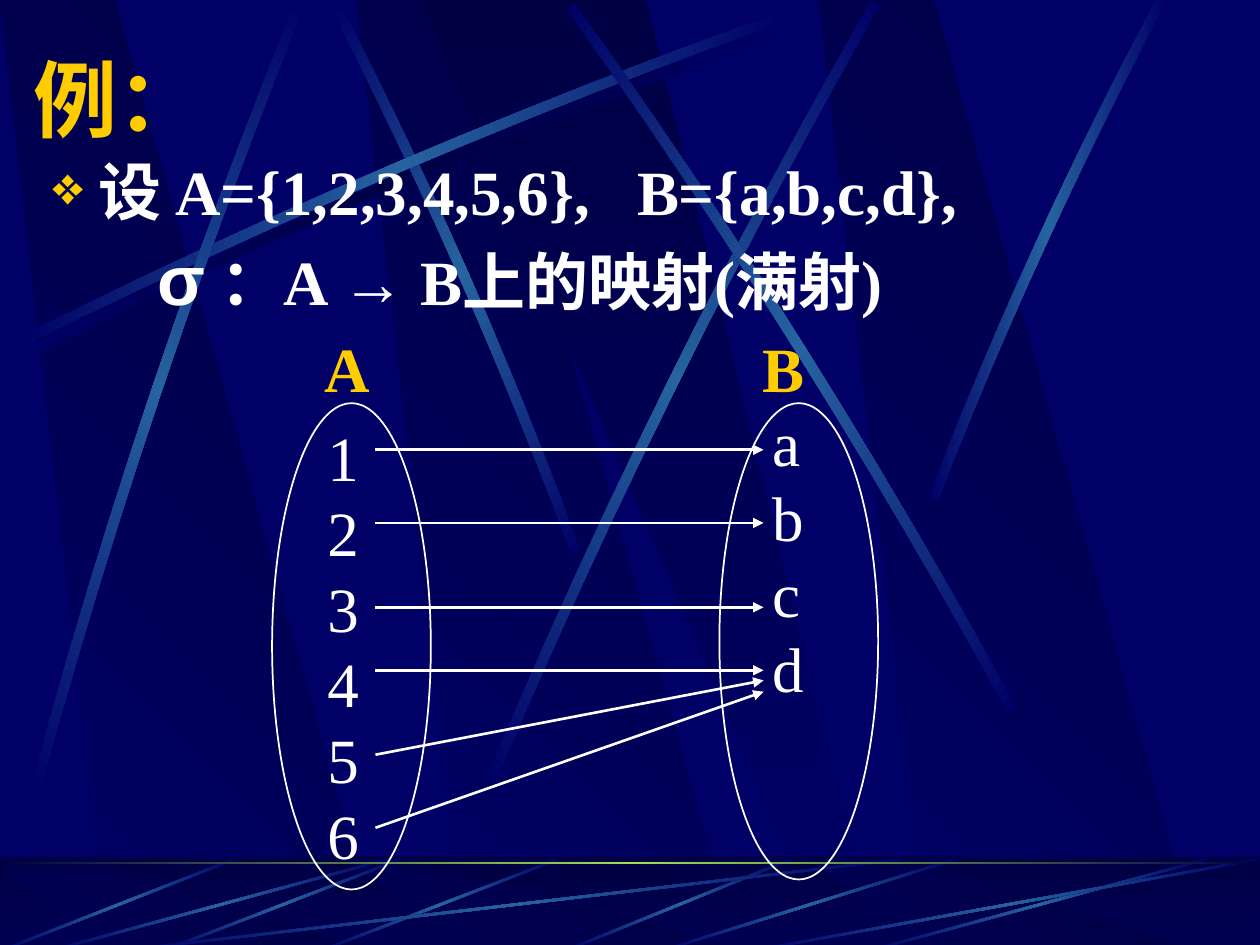
import math

import lxml.etree
import pptx
import pptx.dml.color
import pptx.enum.shapes
import pptx.enum.text
import pptx.oxml.ns
import pptx.util

Inches = pptx.util.Inches
Pt = pptx.util.Pt
color = pptx.dml.color.RGBColor.from_string
qn = pptx.oxml.ns.qn
SHAPES = pptx.enum.shapes.MSO_SHAPE
NAVY, DARK, BLUE, GREEN = "000066", "000044", "2663A0", "9CE157"
WHITE, GOLD = "FFFFFF", "FFCC00"
SERIF = "Times New Roman"

presentation = pptx.Presentation()
presentation.slide_width = Inches(10)
presentation.slide_height = Inches(7.5)
slide = presentation.slides.add_slide(presentation.slide_layouts[6])
slide.background.fill.solid()
slide.background.fill.fore_color.rgb = color(NAVY)
shapes = slide.shapes


def paint_gradient(shape, stops, angle):
    """Fill with evenly spaced stops, the angle running clockwise; no outline."""
    shape.shadow.inherit = False
    shape.line.fill.background()
    shape.fill.background()
    gradient = lxml.etree.Element(qn("a:gradFill"), rotWithShape="1")
    stop_list = lxml.etree.SubElement(gradient, qn("a:gsLst"))
    for index, stop in enumerate(stops):
        position = 100000 * index // (len(stops) - 1)
        entry = lxml.etree.SubElement(stop_list, qn("a:gs"), pos=str(position))
        lxml.etree.SubElement(entry, qn("a:srgbClr"), val=stop)
    lxml.etree.SubElement(gradient, qn("a:lin"), ang=str(angle * 60000), scaled="0")
    properties = shape._element.spPr
    properties.replace(properties.find(qn("a:noFill")), gradient)


def add_polygon(points, stops, angle):
    corners = [(Inches(x), Inches(y)) for x, y in points]
    builder = shapes.build_freeform(*corners[0], scale=1.0)
    builder.add_line_segments(corners[1:], close=True)
    paint_gradient(builder.convert_to_shape(), stops, angle)


# Slanted panels on the wall, then on the floor
floor_box = (0, Inches(6.8), Inches(10), Inches(0.75))
for top, bottom in [(0, 7.52), (6.88, 7.55)]:
    if top:
        paint_gradient(shapes.add_shape(SHAPES.RECTANGLE, *floor_box), [DARK, NAVY], 90)
    for left in (2.83, 0, 6.5):
        add_polygon([(left + 0.86, bottom), (left + 3.02, bottom), (left + 0.91, top), (left, top)],
                    [NAVY, DARK], 315)
    add_polygon([(3.33, top), (6.58, bottom), (6.94, bottom), (5.13, top)], [DARK, NAVY], 90)

veil = shapes.add_shape(SHAPES.RECTANGLE, *floor_box)
veil.shadow.inherit = False
veil.line.fill.background()
veil.fill.solid()
veil.fill.fore_color.rgb = color(DARK)
veil_color = veil._element.spPr.find(qn("a:solidFill")).find(qn("a:srgbClr"))
lxml.etree.SubElement(veil_color, qn("a:alpha"), val="50000")

# Light streaks: lower end, upper end, gradient angle
wall_streaks = [
    ((0.21, 2.8), (6.28, 0.21), 0),
    ((4.57, 4.38), (2.67, 0.06), 45),
    ((0.15, 2.72), (6.22, 0.13), 0),
    ((0.28, 6.27), (2.38, 0.03), 312),
    ((3.9, 6.18), (6.95, 0.02), 322),
    ((8.03, 5.63), (4.53, 0.05), 35),
    ((7.41, 3.95), (9.22, 0), 0),
]
# Floor streaks: left end and right end, all rising from the bottom edge
floor_streaks = [(4.5, 6.28), (2.56, 4.43), (1.31, 3.18), (0.02, 1.86), (1.01, 7.16),
                 (0.42, 3.08), (5.27, 7.58), (6.92, 9.58), (6, 9.99)]
streaks = [(*streak, 0.04, 0.03) for streak in wall_streaks]
streaks += [((left, 7.54), (right, 6.82), 0, 0.01, 0) for left, right in floor_streaks]
STEPS = 12
for index, (start, end, angle, half_width, bow) in enumerate(streaks):
    run_x, run_y = end[0] - start[0], end[1] - start[1]
    length = math.hypot(run_x, run_y)
    normal = (run_y / length, -run_x / length)
    side = math.copysign(1, run_x)
    edges = []
    for offset in (half_width, -half_width):
        edge = []
        for step in range(STEPS + 1):
            t = step / STEPS
            shift = offset + side * bow * length * 2 * t * (1 - t)
            edge.append((start[0] + run_x * t + normal[0] * shift,
                         start[1] + run_y * t + normal[1] * shift))
        edges.append(edge)
    add_polygon(edges[0] + edges[1][::-1], [NAVY, BLUE if index else DARK, NAVY], angle)

horizon = shapes.add_shape(SHAPES.RECTANGLE, 0, Inches(6.84), Inches(10), Inches(0.02))
paint_gradient(horizon, [DARK, GREEN, DARK], 0)

# Statement
body = shapes.add_textbox(Inches(0.2), Inches(1.23), Inches(9.47), Inches(1.5))
body.text_frame.word_wrap = True
statement = [
    (0.48, -0.36, [("设 A={1,2,3,4,5,6},   B={a,b,c,d},", 36, SERIF)]),
    (0.95, 0, [("σ", 40, "Arial"), (" ：A ", 36, SERIF), ("→", 36, "Arial"),
               (" B上的映射(满射)", 36, SERIF)]),
]
for index, (margin, indent, pieces) in enumerate(statement):
    paragraph = body.text_frame.add_paragraph() if index else body.text_frame.paragraphs[0]
    properties = paragraph._p.get_or_add_pPr()
    properties.set("marL", str(Inches(margin)))
    properties.set("indent", str(Inches(indent)))
    if indent:
        bullet_color = lxml.etree.SubElement(properties, qn("a:buClr"))
        lxml.etree.SubElement(bullet_color, qn("a:srgbClr"), val=GOLD)
        lxml.etree.SubElement(properties, qn("a:buSzPct"), val="85000")
        lxml.etree.SubElement(properties, qn("a:buChar"), char="❖")
    paragraph.alignment = pptx.enum.text.PP_ALIGN.JUSTIFY
    paragraph.line_spacing = 0.9
    if index:
        paragraph.space_before = Pt(9)
    for text, size, font_name in pieces:
        run = paragraph.add_run()
        run.text = text
        run.font.size = Pt(size)
        run.font.name = font_name
        run.font.bold = True
        run.font.color.rgb = color(WHITE)

# Title
title = shapes.add_textbox(Inches(0.17), Inches(0.33), Inches(8.5), Inches(0.9))
title.text_frame.text = "例："
title.text_frame.word_wrap = True
title.text_frame.vertical_anchor = pptx.enum.text.MSO_ANCHOR.MIDDLE
title_font = title.text_frame.paragraphs[0].runs[0].font
title_font.size = Pt(48)
title_font.name = "Montserrat"
title_font.bold = True
title_font.color.rgb = color(GOLD)

# Set elements and set names
labels = [
    ("123456", 2.5, 3.27, 0.45, WHITE),
    ("abcd", 6.03, 3.15, 0.45, WHITE),
    ("A", 2.48, 2.57, 0.56, GOLD),
    ("B", 5.95, 2.57, 0.53, GOLD),
]
for elements, left, top, width, text_color in labels:
    height = 0.6 * len(elements) + 0.1
    label = shapes.add_textbox(Inches(left), Inches(top), Inches(width), Inches(height))
    label.text_frame.text = "\n".join(elements)
    label.text_frame.word_wrap = False
    for paragraph in label.text_frame.paragraphs:
        paragraph.line_spacing = Pt(43.2)
        font = paragraph.runs[0].font
        font.size = Pt(36)
        font.name = SERIF
        font.bold = text_color == GOLD
        font.color.rgb = color(text_color)

# Mapping arrows
for start, end in [(3.57, 3.57), (4.15, 4.15), (4.82, 4.82), (5.32, 5.32), (5.99, 5.4), (6.57, 5.49)]:
    arrow = shapes.add_connector(pptx.enum.shapes.MSO_CONNECTOR.STRAIGHT,
                                 Inches(2.98), Inches(start), Inches(6.06), Inches(end))
    arrow.line.color.rgb = color(WHITE)
    arrow.line.width = Pt(1.5)
    lxml.etree.SubElement(arrow.line._get_or_add_ln(), qn("a:tailEnd"), type="triangle")
    lxml.etree.SubElement(arrow._element.spPr, qn("a:effectLst"))

for left, height in [(2.16, 3.86), (5.71, 3.78)]:
    set_oval = shapes.add_shape(SHAPES.OVAL, Inches(left), Inches(3.2), Inches(1.26), Inches(height))
    set_oval.shadow.inherit = False
    set_oval.fill.background()
    set_oval.line.color.rgb = color(WHITE)
    set_oval.line.width = Pt(1)

presentation.save("out.pptx")
